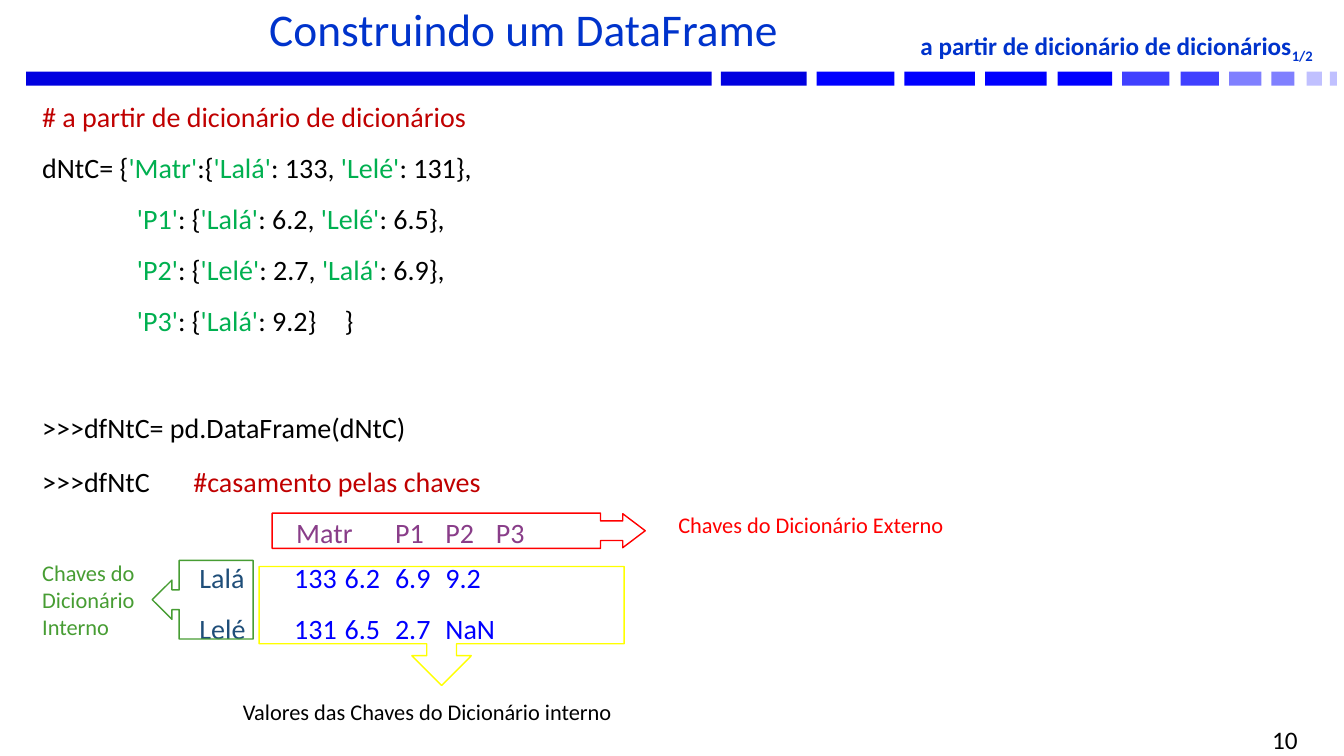
from lxml import etree
from pptx import Presentation
from pptx.dml.color import RGBColor
from pptx.enum.shapes import MSO_SHAPE as Preset
from pptx.enum.text import MSO_ANCHOR as Anchor, MSO_AUTO_SIZE as AutoSize, PP_ALIGN as Align
from pptx.oxml.ns import qn
from pptx.util import Inches, Pt

BLACK, RED, GREEN = "000000", "C00000", "00B050"
PURPLE, NAVY, BLUE, TITLE_BLUE = "893D89", "1F4E79", "0000FF", "0033CC"
KEY_GREEN, KEY_RED, VALUE_YELLOW = "479D33", "FF0000", "FFFF00"

# Left edge, width and colour of each part of the header rule
RULE_PARTS = [
    (0.26, 6.8, "0000E0"), (7.15, 0.85, "0000E0"), (8.1, 0.77, "0000FF"),
    (8.97, 0.7, "0000FF"), (9.77, 0.61, "0000FF"), (10.49, 0.54, "0000FF"),
    (11.13, 0.47, "4040FF"), (11.71, 0.38, "4040FF"), (12.19, 0.32, "8080FF"),
    (12.61, 0.23, "8080FF"), (12.96, 0.15, "C0C0FF"), (13.19, 0.07, "C0C0FF"),
]


def color(hex_value):
    return RGBColor.from_string(hex_value)


def format_run(run, size, hex_value, bold=False):
    run.font.name = "Calibri"
    run.font.size = Pt(size)
    run.font.bold = bold
    run.font.color.rgb = color(hex_value)


def place(shape, left, top, width, height):
    shape.left, shape.top = Inches(left), Inches(top)
    shape.width, shape.height = Inches(width), Inches(height)


def add_text_box(slide, box, anchor=Anchor.TOP):
    shape = slide.shapes.add_textbox(*map(Inches, box))
    frame = shape.text_frame
    frame.word_wrap = True
    frame.vertical_anchor = anchor
    return frame


def add_label(slide, box, text, size, hex_value, align=Align.LEFT, anchor=Anchor.TOP, bold=False):
    paragraph = add_text_box(slide, box, anchor).paragraphs[0]
    paragraph.text = text
    paragraph.alignment = align
    format_run(paragraph.runs[0], size, hex_value, bold)
    return paragraph


def add_preset(slide, preset, box, fill=None, line=None, rotation=0, adjustments=()):
    shape = slide.shapes.add_shape(preset, *map(Inches, box))
    shape.shadow.inherit = False
    shape.rotation = rotation
    if fill:
        shape.fill.solid()
        shape.fill.fore_color.rgb = color(fill)
    else:
        shape.fill.background()
    if line:
        shape.line.color.rgb = color(line)
        shape.line.width = Pt(1)
    else:
        shape.line.fill.background()
    for index, value in enumerate(adjustments):
        shape.adjustments[index] = value


def set_indent_and_tabs(paragraph, indent, tabs):
    properties = paragraph._p.get_or_add_pPr()
    properties.set("marL", "0")
    properties.set("indent", str(Inches(indent)))
    if tabs:
        tab_list = etree.SubElement(properties, qn("a:tabLst"))
        for position in tabs:
            etree.SubElement(tab_list, qn("a:tab"), pos=str(Inches(position)), algn="l")


def add_code_line(paragraph, pieces, before=10, indent=0, tabs=(), spacing=1.1):
    paragraph.alignment = Align.JUSTIFY
    paragraph.line_spacing = spacing
    paragraph.space_before = Pt(before)
    set_indent_and_tabs(paragraph, indent, tabs)
    for text, hex_value in pieces:
        run = paragraph.add_run()
        run.text = text
        format_run(run, 20, hex_value)


def dictionary_pieces(opening, key, separator, grades, closing):
    pieces = [(opening, BLACK)] if opening else []
    pieces.append((f"'{key}'", GREEN))
    lead = separator + "{"
    for name, value in grades:
        pieces += [(lead, BLACK), (f"'{name}'", GREEN)]
        lead = f": {value}, "
    pieces.append((f": {grades[-1][1]}{closing}", BLACK))
    return pieces


def add_code(slide):
    frame = add_text_box(slide, (0.32, 0.94, 12.8, 6.29))
    inner = {"indent": 0.94}
    data_row = {"indent": 1.56, "tabs": (2.21, 2.75, 3.22, 3.71)}
    lines = [
        ([("# a partir de dicionário de dicionários", RED)], {"spacing": 1.0}),
        (dictionary_pieces("dNtC= {", "Matr", ":", [("Lalá", "133"), ("Lelé", "131")], "},"), {}),
        (dictionary_pieces("", "P1", ": ", [("Lalá", "6.2"), ("Lelé", "6.5")], "},"), inner),
        (dictionary_pieces("", "P2", ": ", [("Lelé", "2.7"), ("Lalá", "6.9")], "},"), inner),
        (dictionary_pieces("", "P3", ": ", [("Lalá", "9.2")], "}\t}"), {**inner, "tabs": (3.67,)}),
        ([(">>>dfNtC= pd.DataFrame(dNtC)", BLACK)], {"before": 50}),
        ([(">>>dfNtC\t", BLACK), ("#casamento pelas chaves", RED)], {"before": 12, "tabs": (2,)}),
        ([("Matr\tP1\tP2\tP3", PURPLE)], {"indent": 2.52, "tabs": (3.26, 3.73, 4.2)}),
        ([("Lalá", NAVY), ("\t133\t6.2\t6.9\t9.2", BLUE)], {**data_row, "before": 6}),
        ([("Lelé", NAVY), ("\t131\t6.5\t2.7\tNaN", BLUE)], data_row),
    ]
    for index, (pieces, options) in enumerate(lines):
        paragraph = frame.add_paragraph() if index else frame.paragraphs[0]
        add_code_line(paragraph, pieces, **options)


def set_title(slide):
    title = slide.shapes.title
    place(title, 2.57, 0.06, 10.39, 0.54)
    frame = title.text_frame
    frame.text = "Construindo um DataFrame"
    frame.auto_size = AutoSize.NONE
    frame.vertical_anchor = Anchor.MIDDLE
    paragraph = frame.paragraphs[0]
    paragraph.alignment = Align.LEFT
    paragraph.line_spacing = 0.8
    format_run(paragraph.runs[0], 32.4, TITLE_BLUE)


def add_subtitle(slide):
    paragraph = add_label(slide, (8.47, 0.28, 4.65, 0.35), "a partir de dicionário de dicionários",
                          18, TITLE_BLUE, Align.RIGHT, bold=True)
    paragraph.line_spacing = 0.8
    part_number = paragraph.add_run()
    part_number.text = "1/2"
    format_run(part_number, 18, TITLE_BLUE, True)
    part_number.font._element.set("baseline", "-25000")


def main():
    presentation = Presentation()
    presentation.slide_width, presentation.slide_height = Inches(13.33), Inches(7.5)
    slide = presentation.slides.add_slide(presentation.slide_layouts[5])

    # Header
    for left, width, fill in RULE_PARTS:
        add_preset(slide, Preset.RECTANGLE, (left, 0.71, width, 0.14), fill=fill)
    set_title(slide)
    add_subtitle(slide)

    # Code and its output
    add_code(slide)

    # Callouts around the keys and values
    add_preset(slide, Preset.RIGHT_ARROW_CALLOUT, (2.7, 5.09, 3.7, 0.35), line=KEY_RED,
               adjustments=(0.559, 0.482, 0.637, 0.88))
    add_preset(slide, Preset.DOWN_ARROW_CALLOUT, (1.62, 5.45, 0.78, 1), line=KEY_GREEN,
               rotation=90, adjustments=(0.25, 0.25, 0.25, 0.733))
    add_preset(slide, Preset.DOWN_ARROW_CALLOUT, (2.57, 5.62, 3.62, 1.18), line=VALUE_YELLOW)
    add_label(slide, (6.63, 5.02, 3.03, 0.37), "Chaves do Dicionário Externo", 16, KEY_RED)
    add_label(slide, (0.32, 5.5, 1.14, 0.91), "Chaves do Dicionário Interno", 16, KEY_GREEN)
    add_label(slide, (2.31, 6.88, 5.55, 0.37), "Valores das Chaves do Dicionário interno", 16, BLACK)

    # Slide number
    add_label(slide, (9.86, 7.23, 3.11, 0.22), "10", 18, BLACK, Align.RIGHT, Anchor.MIDDLE)

    presentation.save("out.pptx")


if __name__ == "__main__":
    main()
